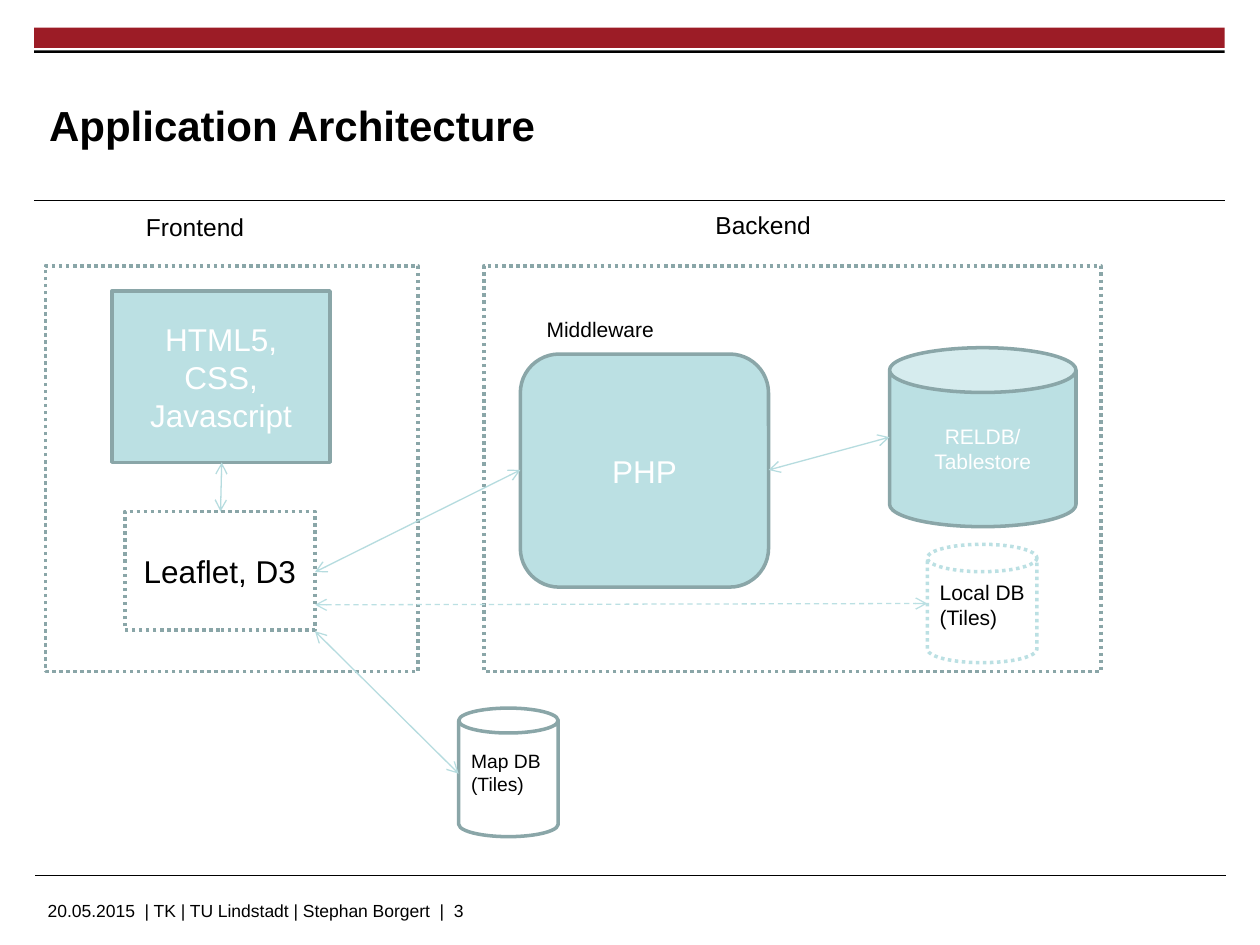
import pptx
import pptx.util
import pptx.dml.color
import pptx.enum.dml
import pptx.enum.shapes
import pptx.enum.text
import pptx.oxml.ns
import lxml.etree
from dataclasses import dataclass

Inches = pptx.util.Inches
Form = pptx.enum.shapes.MSO_SHAPE
Dash = pptx.enum.dml.MSO_LINE
Align = pptx.enum.text.PP_ALIGN
Anchor = pptx.enum.text.MSO_ANCHOR
Fit = pptx.enum.text.MSO_AUTO_SIZE
qn = pptx.oxml.ns.qn


@dataclass(frozen=True)
class Theme:
    font: str = "Arial"
    black: str = "000000"
    white: str = "FFFFFF"
    red: str = "9C1C26"
    aqua: str = "BBE0E3"
    edge: str = "8AA6A8"
    link: str = "B6DCDF"
    title: int = 24
    large: int = 18
    head: int = 14
    small: int = 12
    tiny: int = 11
    foot: int = 10
    thick: float = 2
    thin: float = 0.75
    rule: float = 0.6


theme = Theme()


def rgb(code):
    return pptx.dml.color.RGBColor.from_string(code)


def apply(target, values):
    for name, value in values.items():
        setattr(target, name, value)


def write(shape, text, size, color=theme.black, align=Align.LEFT, bold=False, **frame):
    """Put text in a shape; extra values go to its text frame."""
    apply(shape.text_frame, {"word_wrap": True, **frame})
    para = shape.text_frame.paragraphs[0]
    para.alignment = align
    run = para.add_run()
    run.text = text
    apply(run.font, {"name": theme.font, "size": pptx.util.Pt(size), "bold": bold})
    run.font.color.rgb = rgb(color)


def stroke(line, color, width, dash=None):
    line.color.rgb = rgb(color)
    apply(line, {"width": pptx.util.Pt(width), "dash_style": dash})


def add_box(slide, form, at, fill=None, edge=theme.edge, dash=None):
    box = slide.shapes.add_shape(form, *map(Inches, at))
    box.shadow.inherit = False
    if fill:
        box.fill.solid()
        box.fill.fore_color.rgb = rgb(fill)
    else:
        box.fill.background()
    if edge:
        stroke(box.line, edge, theme.thick, dash)
    else:
        box.line.fill.background()
    return box


def add_node(slide, form, at, text, size, fill=theme.aqua, color=theme.white, dash=None):
    """Add a box with centred text."""
    box = add_box(slide, form, at, fill, dash=dash)
    write(box, text, size, color, Align.CENTER, vertical_anchor=Anchor.MIDDLE)


def add_label(slide, at, text, size, **style):
    box = slide.shapes.add_textbox(*map(Inches, at))
    write(box, text, size, **style)


def add_line(slide, start, end, color, width, dash=None, arrows=False):
    line = slide.shapes.add_connector(
        pptx.enum.shapes.MSO_CONNECTOR.STRAIGHT, *map(Inches, start + end))
    stroke(line.line, color, width, dash)
    props = line._element.spPr
    if arrows:
        for tip in ("a:headEnd", "a:tailEnd"):
            lxml.etree.SubElement(props.find(qn("a:ln")), qn(tip), type="arrow")
    lxml.etree.SubElement(props, qn("a:effectLst"))


def add_link(slide, start, end, color=theme.link, dash=None):
    add_line(slide, start, end, color, theme.thin, dash, arrows=True)


def add_page(slide):
    """Add the bars, rules, title and footer."""
    add_box(slide, Form.RECTANGLE, (0.27, 0.22, 9.45, 0.16), theme.red, None)
    add_line(slide, (0.27, 1.59), (9.72, 1.59), theme.black, theme.rule)
    add_box(slide, Form.RECTANGLE, (0.27, 0.4, 9.45, 0.02), theme.black, None)
    add_line(slide, (0.28, 6.95), (9.73, 6.95), theme.black, theme.rule)
    add_label(slide, (0.28, 7.1, 7.88, 0.25),
              "20.05.2015  | TK | TU Lindstadt | Stephan Borgert  |  3",
              theme.foot, vertical_anchor=Anchor.MIDDLE)
    sides = ("left", "top", "right", "bottom")
    add_label(slide, (0.39, 0.53, 7.26, 0.92), "Application Architecture",
              theme.title, bold=True, vertical_anchor=Anchor.MIDDLE,
              **{f"margin_{side}": 0 for side in sides})


def add_parts(slide):
    """Add the front end, the back end and the stores."""
    dots = Dash.ROUND_DOT
    add_node(slide, Form.CAN, (7.06, 2.76, 1.48, 1.42), "RELDB/Tablestore", theme.small)
    add_node(slide, Form.ROUNDED_RECTANGLE, (4.13, 2.81, 1.97, 1.85), "PHP", theme.large)
    add_node(slide, Form.RECTANGLE, (0.99, 4.06, 1.51, 0.94), "Leaflet, D3",
             theme.large, None, theme.black, dots)
    add_node(slide, Form.RECTANGLE, (0.89, 2.31, 1.73, 1.36),
             "HTML5, CSS, Javascript", theme.large)
    for left, width in ((0.36, 2.96), (3.84, 4.9)):
        add_box(slide, Form.RECTANGLE, (left, 2.11, width, 3.22), dash=dots)
    add_box(slide, Form.CAN, (3.64, 5.62, 0.79, 1.02))
    add_box(slide, Form.CAN, (7.36, 4.32, 0.87, 0.94), edge=theme.aqua, dash=dots)


def add_names(slide):
    for at, text, size, wrap in (
        ((4.24, 2.46, 1.06, 0.3), "Middleware", theme.small, False),
        ((5.58, 1.62, 0.96, 0.34), "Backend", theme.head, False),
        ((1.06, 1.63, 0.98, 0.34), "Frontend", theme.head, False),
        ((3.64, 5.9, 0.87, 0.47), "Map DB (Tiles)", theme.tiny, True),
        ((7.36, 4.55, 0.94, 0.5), "Local DB (Tiles)", theme.small, True),
    ):
        add_label(slide, at, text, size, word_wrap=wrap,
                  auto_size=Fit.SHAPE_TO_FIT_TEXT)


def add_links(slide):
    for start, end in (
        ((6.1, 3.73), (7.06, 3.47)),
        ((2.5, 4.54), (4.13, 3.73)),
        ((1.76, 3.67), (1.75, 4.06)),
        ((2.5, 5.01), (3.64, 6.14)),
    ):
        add_link(slide, start, end)
    add_link(slide, (2.5, 4.8), (7.36, 4.79), theme.aqua, Dash.DASH)


def main():
    deck = pptx.Presentation()
    apply(deck, {"slide_width": Inches(10), "slide_height": Inches(7.5)})
    slide = deck.slides.add_slide(deck.slide_layouts[6])
    for step in (add_page, add_parts, add_names, add_links):
        step(slide)
    deck.save("out.pptx")


if __name__ == "__main__":
    main()
